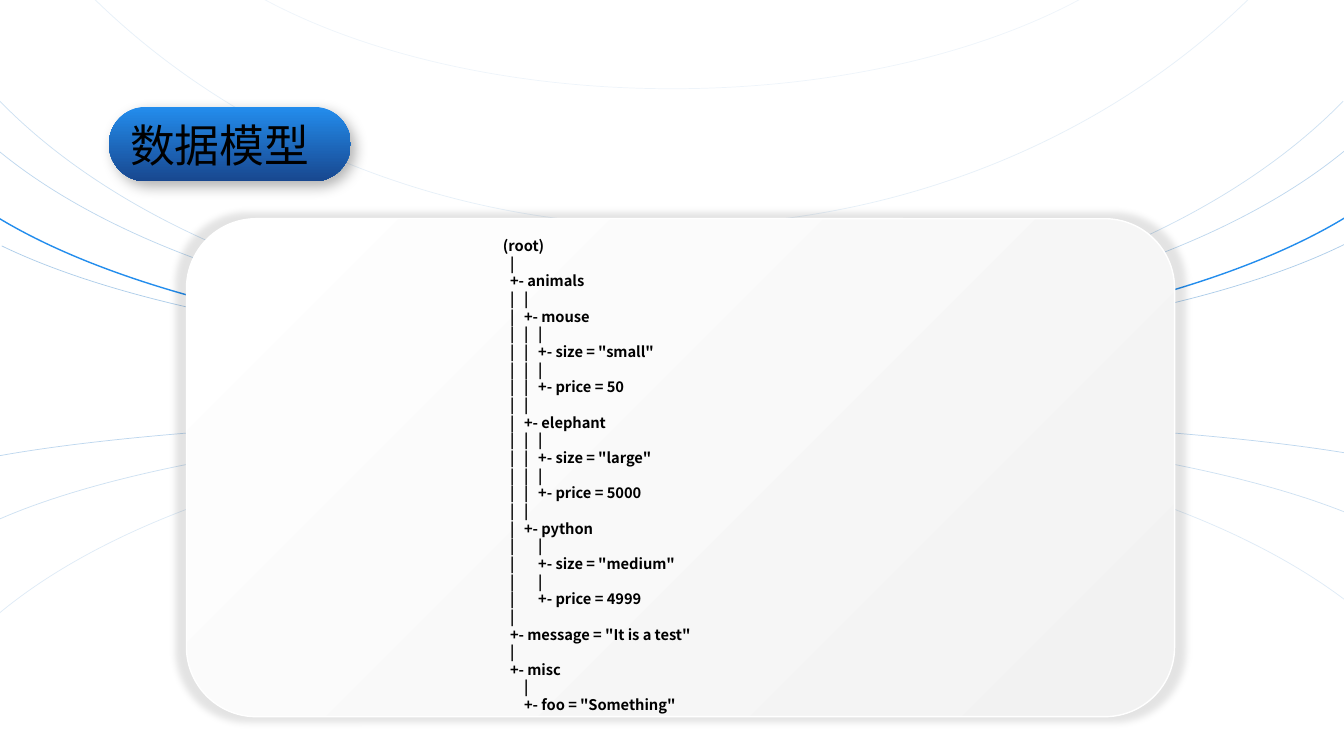
from lxml.etree import SubElement
from pptx import Presentation
from pptx.dml.color import RGBColor
from pptx.enum.shapes import MSO_SHAPE
from pptx.enum.text import MSO_ANCHOR, MSO_AUTO_SIZE, PP_ALIGN
from pptx.oxml.ns import qn
from pptx.util import Inches, Pt


def tint(code):
    return RGBColor.from_string(code)


def write(frame, lines, size, font, color="000000", bold=False, pitch=1.0, tabs=()):
    """Fill a text frame with one paragraph per line."""
    for num, line in enumerate(lines):
        para = frame.add_paragraph() if num else frame.paragraphs[0]
        para.alignment = PP_ALIGN.LEFT
        para.line_spacing = pitch
        run = para.add_run()
        run.text = line
        run.font.size, run.font.bold, run.font.name = Pt(size), bold, font
        run.font.color.rgb = tint(color)
        SubElement(run.font._element, qn("a:ea"), typeface="Noto Sans CJK SC")
        if tabs:
            stops = SubElement(para._p.get_or_add_pPr(), qn("a:tabLst"))
            for stop in tabs:
                SubElement(stops, qn("a:tab"), pos=str(Inches(stop)), algn="l")


class Deck:
    """Holds the style and the current slide."""
    blue, navy, pale = "238DED", "18478F", "5B9BD5"
    head, body = "Roboto", "Noto Sans CJK SC"

    def __init__(self):
        self.file = Presentation()
        self.file.slide_width, self.file.slide_height = Inches(13.33), Inches(7.5)
        self.page = self.file.slides.add_slide(self.file.slide_layouts[5])

    def shape(self, kind, box, adjust):
        item = self.page.shapes.add_shape(kind, *map(Inches, box))
        item.shadow.inherit = False
        for num, value in enumerate(adjust):
            item.adjustments[num] = value
        return item

    def arc(self, box, start, end, color, width, alpha=100, turn=0):
        item = self.shape(MSO_SHAPE.ARC, box, (start, end))
        item.rotation = turn
        item.fill.background()
        item.line.color.rgb, item.line.width = tint(color), Pt(width)
        shade = item._element.spPr.find(".//" + qn("a:srgbClr"))
        SubElement(shade, qn("a:alpha"), val=str(alpha * 1000))

    def card(self, box, curve, colors, angle, shadow, edge=None):
        item = self.shape(MSO_SHAPE.ROUNDED_RECTANGLE, box, (curve,))
        item.fill.gradient()
        item.fill.gradient_angle = 360 - angle
        for num, (stop, color) in enumerate(zip(item.fill.gradient_stops, colors)):
            stop.position, stop.color.rgb = num, tint(color)
        if edge:
            item.line.color.rgb, item.line.width = tint(edge), Pt(1)
        else:
            item.line.fill.background()
        self.shade(item, **shadow)

    def shade(self, item, alpha, blur, dist=0, angle=0, scale=100):
        size = str(scale * 1000)
        glow = SubElement(item._element.spPr.find(qn("a:effectLst")), qn("a:outerShdw"),
                          blurRad=str(Pt(blur)), dist=str(Pt(dist)),
                          dir=str(angle * 60000), sx=size, sy=size,
                          algn="ctr", rotWithShape="0")
        color = SubElement(glow, qn("a:srgbClr"), val="000000")
        SubElement(color, qn("a:alpha"), val=str(alpha * 1000))

    def place(self, item, box):
        item.left, item.top, item.width, item.height = map(Inches, box)

    def title(self, words, box, inset):
        item = self.page.shapes.title
        self.place(item, box)
        self.page.shapes._spTree.append(item._element)
        frame = item.text_frame
        frame.auto_size, frame.word_wrap = MSO_AUTO_SIZE.NONE, True
        frame.vertical_anchor = MSO_ANCHOR.MIDDLE
        frame.margin_left = Inches(inset)
        write(frame, [words], 32, self.head)

    def text(self, lines, box, **style):
        frame = self.page.shapes.add_textbox(*map(Inches, box)).text_frame
        frame.word_wrap = True
        write(frame, lines, font=self.body, **style)


def branch(nodes, lead="\t"):
    """List the lines of a tree, with a bar above every node."""
    lines = []
    for num, (name, kids) in enumerate(nodes):
        lines += [lead + "|", f"{lead}+- {name}"]
        last = num == len(nodes) - 1
        lines += branch(kids, lead + ("\t" if last else "|\t"))
    return lines


def beast(name, size, price):
    return name, [(f'size = "{size}"', []), (f"price = {price}", [])]


deck = Deck()

# Upper arcs, hanging down
for left, top, width, height, start, end, color, line, alpha in [
    (1.08, -4.83, 11.17, 5.71, 116.88, 206.91, deck.pale, 0.5, 10),
    (-1.08, -11.53, 15.48, 13.77, 124.84, 199.47, deck.pale, 0.5, 15),
    (-1.08, -6.09, 15.48, 9.4, 119.86, 204.14, deck.pale, 0.5, 30),
    (-1.08, -4.13, 15.48, 7.47, 117.47, 206.53, deck.pale, 0.5, 40),
    (-1.08, -1.98, 15.48, 5.5, 115.01, 208.99, deck.blue, 1, 100),
    (-1.08, -0.95, 15.48, 4.48, 113.73, 210.11, deck.pale, 0.5, 50),
]:
    deck.arc((left, top, width, height), start, end, color, line, alpha, turn=180)

# Lower arcs, rising up
for top, height, start, end, alpha in [
    (4.12, 1.57, 109.25, 214.63, 40),
    (4.18, 3.79, 110.97, 212.72, 30),
    (4.24, 7.2, 113.42, 210.03, 20),
]:
    deck.arc((-0.99, top, 15.48, height), start, end, deck.pale, 0.5, alpha)

# Title on its pill
pill = (1.08, 1.06, 2.4, 0.74)
deck.card(pill, 0.5, (deck.blue, deck.navy), 90,
          dict(alpha=30, blur=10, dist=5, angle=45))
deck.title("数据模型", pill, inset=0.21)

# Panel with the data tree
deck.card((1.85, 2.17, 9.8, 4.94), 0.14, ("FFFFFF", "F2F2F2"), 45,
          dict(alpha=11, blur=5, scale=102), edge="FFFFFF")
tree = [
    ("animals", [beast("mouse", "small", 50),
                 beast("elephant", "large", 5000),
                 beast("python", "medium", 4999)]),
    ('message = "It is a test"', []),
    ("misc", [('foo = "Something"', [])]),
]
deck.text(["(root)"] + branch(tree), (4.89, 2.3, 4.43, 4.87), size=10.5,
          bold=True, pitch=Pt(12.6), tabs=(0.07, 0.21, 0.35))

deck.file.save("out.pptx")
